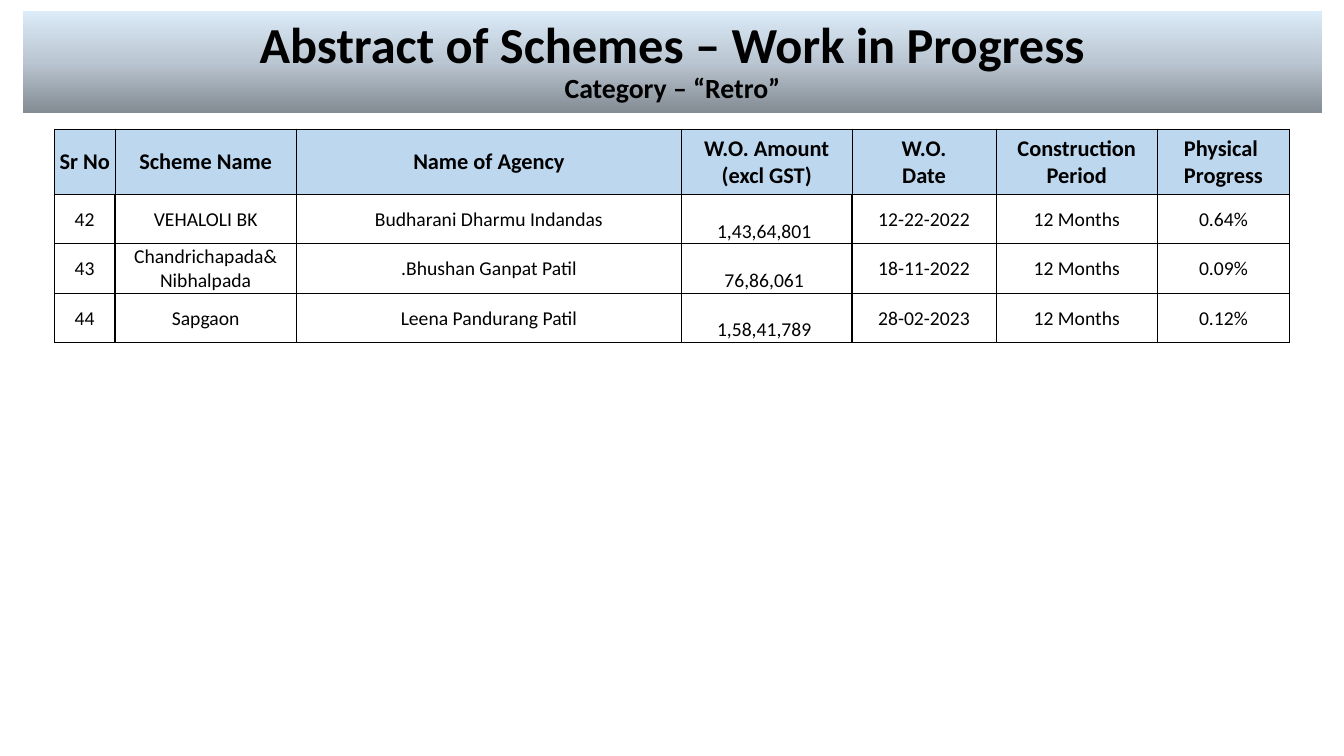
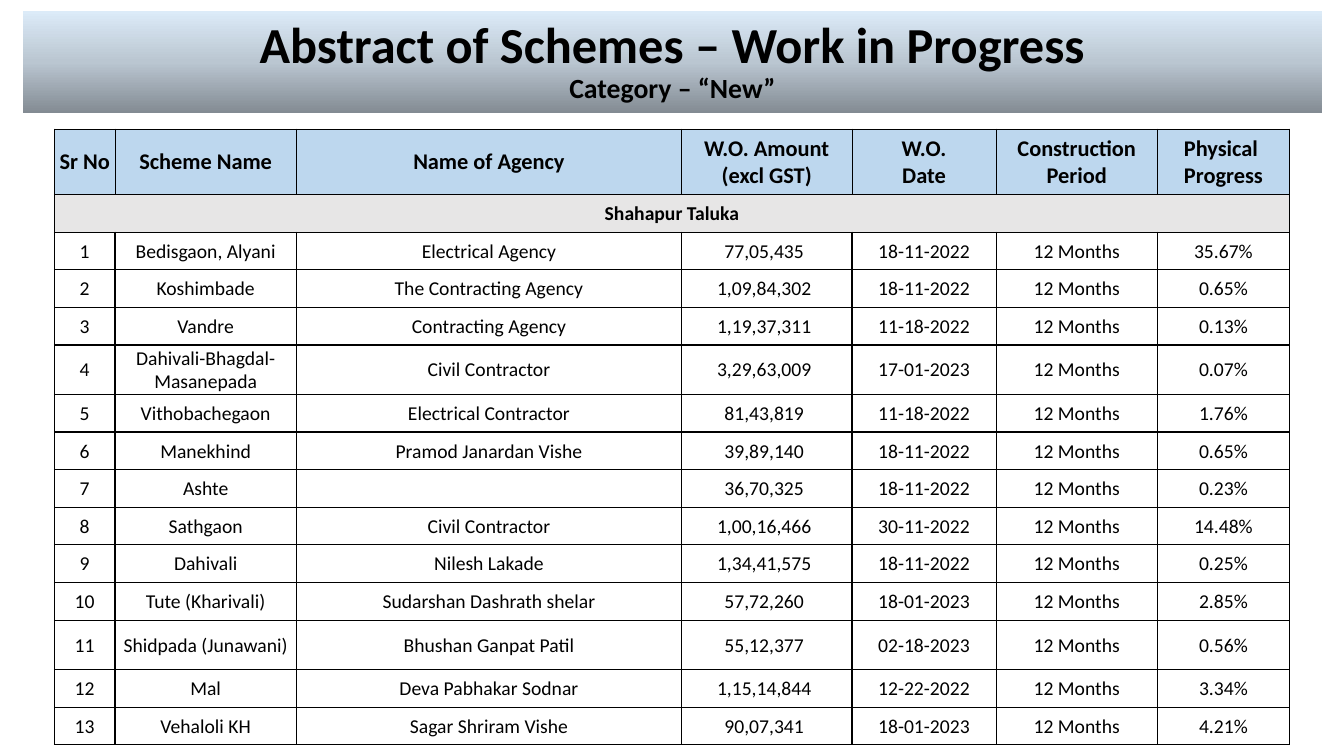
from copy import deepcopy
from dataclasses import astuple, dataclass

from lxml import etree
from pptx import Presentation
from pptx.dml.color import RGBColor
from pptx.enum import text
from pptx.oxml.ns import qn
from pptx.util import Inches, Pt

# Shared look
FONT = "Calibri"
BLACK, HEADER_BLUE, BAND_GREY = "000000", "BDD7EE", "E7E6E6"
TITLE_GRADIENT = [(0, "838B93"), (0.5, "BAC6D1"), (1, "DCEBF8")]
TITLE = "Abstract of Schemes – Work in Progress"

# Shared table grid, in inches
TABLE_LEFT, HEADER_TOP, HEADER_HEIGHT = 0.54, 1.28, 0.65
COLUMN_WIDTHS = [0.6, 1.8, 3.82, 1.69, 1.43, 1.6, 1.31]
BODY_TOP = HEADER_TOP + HEADER_HEIGHT
TALL_ROW = 0.49
NEW_BODY_HEIGHT = 5.46
AMOUNT_COLUMN = 3
HEADINGS = ["Sr No", "Scheme Name", "Name of Agency", "W.O. Amount\v(excl GST)",
            "W.O.\vDate", "Construction\vPeriod", "Physical \nProgress"]


@dataclass
class Scheme:
    number: str
    name: str
    agency: str
    amount: str
    date: str
    period: str
    progress: str


@dataclass
class CellStyle:
    size: float = 14
    bold: bool = False
    fill: str | None = None
    side_line: float = 1
    top_line: float = 1


HEADER_STYLE = CellStyle(16, True, HEADER_BLUE, 0.5, 0.5)
BAND_STYLE = CellStyle(bold=True, fill=BAND_GREY)
BODY_STYLE = CellStyle()

RETRO_SCHEMES = [
    Scheme("42", "VEHALOLI BK", "Budharani Dharmu Indandas", "1,43,64,801", "12-22-2022", "12 Months", "0.64%"),
    Scheme("43", "Chandrichapada& Nibhalpada", ".Bhushan Ganpat Patil", "76,86,061", "18-11-2022", "12 Months", "0.09%"),
    Scheme("44", "Sapgaon", "Leena Pandurang Patil", "1,58,41,789", "28-02-2023", "12 Months", "0.12%"),
]
NEW_SCHEMES = [
    Scheme("1", "Bedisgaon, Alyani", "Electrical Agency", "77,05,435", "18-11-2022", "12 Months", "35.67%"),
    Scheme("2", "Koshimbade", "The Contracting Agency", "1,09,84,302", "18-11-2022", "12 Months", "0.65%"),
    Scheme("3", "Vandre", "Contracting Agency", "1,19,37,311", "11-18-2022", "12 Months", "0.13%"),
    Scheme("4", "Dahivali-Bhagdal-Masanepada", "Civil Contractor", "3,29,63,009", "17-01-2023", "12 Months", "0.07%"),
    Scheme("5", "Vithobachegaon", "Electrical Contractor", "81,43,819", "11-18-2022", "12 Months", "1.76%"),
    Scheme("6", "Manekhind", "Pramod Janardan Vishe", "39,89,140", "18-11-2022", "12 Months", "0.65%"),
    Scheme("7", "Ashte", "", "36,70,325", "18-11-2022", "12 Months", "0.23%"),
    Scheme("8", "Sathgaon", "Civil Contractor", "1,00,16,466", "30-11-2022", "12 Months", "14.48%"),
    Scheme("9", "Dahivali", "Nilesh Lakade", "1,34,41,575", "18-11-2022", "12 Months", "0.25%"),
    Scheme("10", "Tute (Kharivali)", "Sudarshan Dashrath shelar", "57,72,260", "18-01-2023", "12 Months", "2.85%"),
    Scheme("11", "Shidpada (Junawani)", "Bhushan Ganpat Patil", "55,12,377", "02-18-2023", "12 Months", "0.56%"),
    Scheme("12", "Mal", "Deva Pabhakar Sodnar", "1,15,14,844", "12-22-2022", "12 Months", "3.34%"),
    Scheme("13", "Vehaloli KH", "Sagar Shriram Vishe", "90,07,341", "18-01-2023", "12 Months", "4.21%"),
]
TALL_SCHEMES = {"4", "11"}


def color(hex_value: str) -> RGBColor:
    return RGBColor.from_string(hex_value)


def set_attributes(target, values: dict) -> None:
    for name, value in values.items():
        setattr(target, name, value)


def format_run(run, size: float, bold: bool) -> None:
    set_attributes(run.font, {"name": FONT, "size": Pt(size), "bold": bold})
    run.font.color.rgb = color(BLACK)


def add_title(slide, category: str) -> None:
    """Gradient band with the title and the category below it."""
    shape = slide.shapes.title
    set_attributes(shape, {"left": Inches(0.23), "top": Inches(0.11),
                           "width": Inches(12.88), "height": Inches(1.01)})
    shape.fill.gradient()
    shape.fill.gradient_angle = 90
    stops = shape.element.find(".//" + qn("a:gsLst"))
    stops.append(deepcopy(stops[0]))
    for stop, (position, shade) in zip(shape.fill.gradient_stops, TITLE_GRADIENT):
        stop.position = position
        stop.color.rgb = color(shade)
    set_attributes(shape.text_frame, {"word_wrap": True, "auto_size": text.MSO_AUTO_SIZE.NONE,
                                      "vertical_anchor": text.MSO_ANCHOR.MIDDLE})
    paragraph = shape.text_frame.paragraphs[0]
    set_attributes(paragraph, {"alignment": text.PP_ALIGN.CENTER, "line_spacing": 0.9})
    for line, size in [(TITLE, 36), (f"Category – “{category}”", 19.8)]:
        if paragraph.runs:
            paragraph.add_line_break()
        run = paragraph.add_run()
        run.text = line
        format_run(run, size, True)


def add_borders(cell, style: CellStyle) -> None:
    properties = cell._tc.get_or_add_tcPr()
    widths = {"lnL": style.side_line, "lnR": style.side_line, "lnT": style.top_line, "lnB": 1}
    for tag, width in widths.items():
        line = etree.SubElement(properties, qn(f"a:{tag}"), w=str(Pt(width)))
        fill = etree.SubElement(line, qn("a:solidFill"))
        etree.SubElement(fill, qn("a:srgbClr"), val=BLACK)


def fill_cell(cell, words: str, style: CellStyle) -> None:
    add_borders(cell, style)
    if style.fill:
        cell.fill.solid()
        cell.fill.fore_color.rgb = color(style.fill)
    else:
        cell.fill.background()
    set_attributes(cell, {"margin_left": Inches(0.01), "margin_right": Inches(0.01),
                          "margin_top": Inches(0.01), "margin_bottom": 0,
                          "vertical_anchor": text.MSO_ANCHOR.MIDDLE})
    cell.text = words
    for paragraph in cell.text_frame.paragraphs:
        paragraph.alignment = text.PP_ALIGN.CENTER
        for run in paragraph.runs:
            format_run(run, style.size, style.bold)


def add_grid(slide, top: float, heights: list[float]):
    """Empty table on the shared columns."""
    table = slide.shapes.add_table(
        len(heights), len(COLUMN_WIDTHS), Inches(TABLE_LEFT), Inches(top),
        Inches(sum(COLUMN_WIDTHS)), Inches(sum(heights))).table
    set_attributes(table, {"first_row": False, "horz_banding": False})
    for column, width in zip(table.columns, COLUMN_WIDTHS):
        column.width = Inches(width)
    for row, height in zip(table.rows, heights):
        row.height = Inches(height)
    return table


def add_header(slide) -> None:
    table = add_grid(slide, HEADER_TOP, [HEADER_HEIGHT])
    for cell, heading in zip(table.rows[0].cells, HEADINGS):
        fill_cell(cell, heading, HEADER_STYLE)


def add_schemes(slide, schemes: list[Scheme], heights: list[float],
                band: str = "", amount_top: float = 0.01) -> None:
    """Scheme rows, under a merged band row if there is one."""
    table = add_grid(slide, BODY_TOP, heights)
    first = 1 if band else 0
    if band:
        for index, cell in enumerate(table.rows[0].cells):
            fill_cell(cell, "" if index else band, BAND_STYLE)
        table.cell(0, 0).merge(table.cell(0, len(COLUMN_WIDTHS) - 1))
    for row, scheme in enumerate(schemes, first):
        for column, words in enumerate(astuple(scheme)):
            fill_cell(table.cell(row, column), words, BODY_STYLE)
        set_attributes(table.cell(row, AMOUNT_COLUMN),
                       {"margin_right": Inches(0.06), "margin_top": Inches(amount_top)})


def add_slide(presentation, category: str):
    slide = presentation.slides.add_slide(presentation.slide_layouts[5])
    add_title(slide, category)
    add_header(slide)
    return slide


def main() -> None:
    presentation = Presentation()
    set_attributes(presentation, {"slide_width": Inches(13.33), "slide_height": Inches(7.5)})

    # Retro schemes: amounts sit low in their cells
    slide = add_slide(presentation, "Retro")
    add_schemes(slide, RETRO_SCHEMES, [TALL_ROW] * len(RETRO_SCHEMES), amount_top=0.24)

    # New schemes: the short rows share what the tall ones leave
    slide = add_slide(presentation, "New")
    short_count = 1 + len(NEW_SCHEMES) - len(TALL_SCHEMES)
    short_row = (NEW_BODY_HEIGHT - TALL_ROW * len(TALL_SCHEMES)) / short_count
    heights = [short_row] + [TALL_ROW if scheme.number in TALL_SCHEMES else short_row
                             for scheme in NEW_SCHEMES]
    add_schemes(slide, NEW_SCHEMES, heights, band="Shahapur Taluka")

    presentation.save("out.pptx")


if __name__ == "__main__":
    main()
